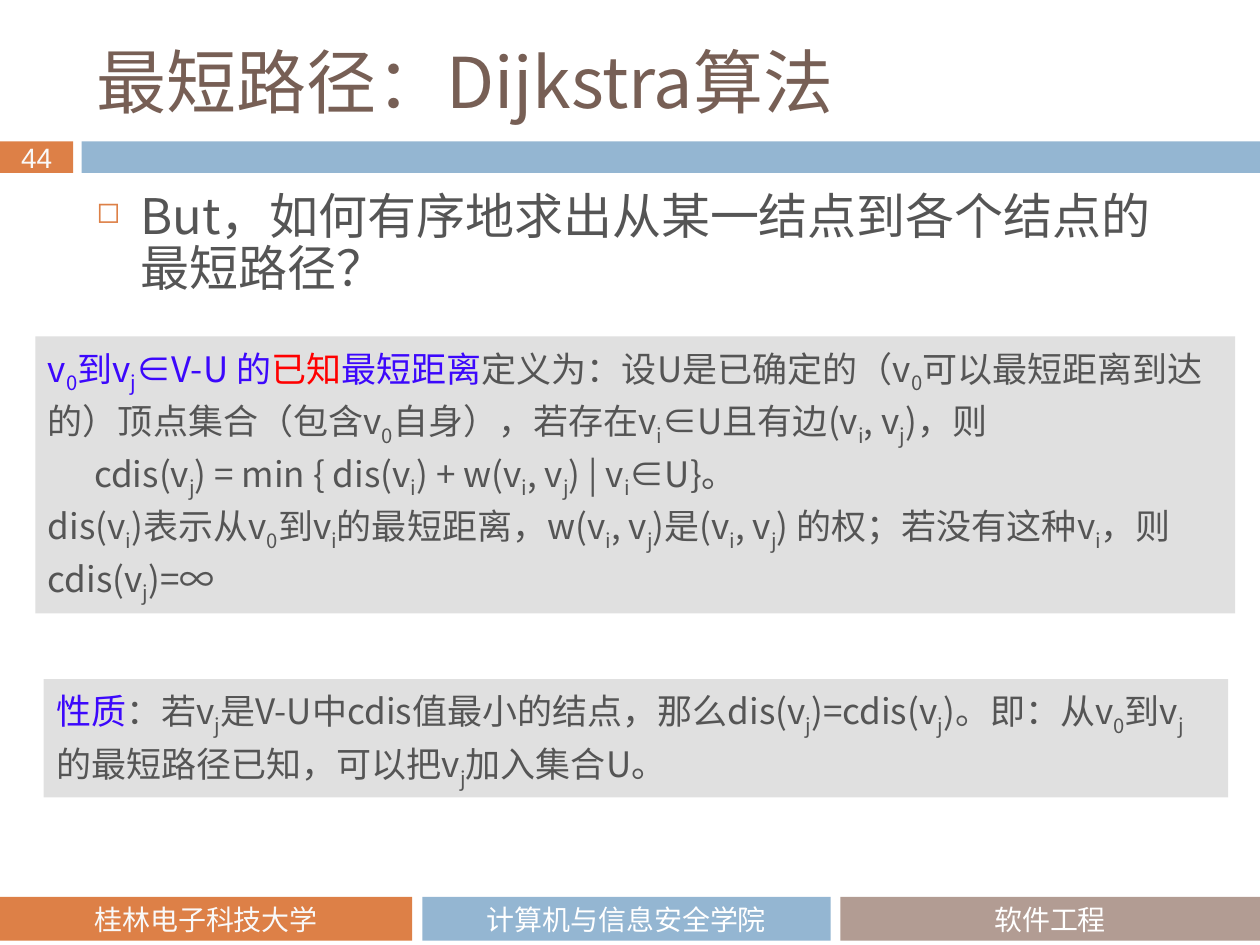
from lxml.etree import SubElement
from pptx import Presentation
from pptx.dml.color import RGBColor
from pptx.enum.shapes import MSO_SHAPE as SHAPE
from pptx.enum.text import MSO_ANCHOR as ANCHOR, PP_ALIGN as ALIGN
from pptx.oxml.ns import qn
from pptx.util import Pt

ORANGE, BLUE, TAUPE, GREY = "DD8047", "94B6D2", "B29C93", "E0E0E0"
BROWN, INK, VIOLET, RED = "775F55", "555555", "3C08FC", "FF0000"
WHITE, PALE = "FFFFFF", "F9F9F9"
SANS = "Noto Sans CJK SC"


def rgb(value):
    return RGBColor.from_string(value)


def add_run(p, text, size=20, color=INK, font=SANS, east=SANS, sub=False):
    r = p.add_run()
    r.text = text
    r.font.size = Pt(size)
    r.font.color.rgb = rgb(color)
    r.font.name = font
    SubElement(r.font._element, qn("a:ea"), typeface=east)
    if sub:
        r.font._element.set("baseline", "-25000")


def add_math(p, text, **fmt):
    first, *rest = text.split("_")
    add_run(p, first, **fmt)
    for part in rest:
        add_run(p, part[0], sub=True, **fmt)
        if part[1:]:
            add_run(p, part[1:], **fmt)


class Deck:
    leading = Pt(30)

    def __init__(self, width, height):
        self.prs = Presentation()
        self.prs.slide_width, self.prs.slide_height = Pt(width), Pt(height)
        self.s = self.prs.slides.add_slide(self.prs.slide_layouts[6])

    def rect(self, x, y, w, h, fill):
        sp = self.s.shapes.add_shape(SHAPE.RECTANGLE, Pt(x), Pt(y), Pt(w), Pt(h))
        sp.shadow.inherit = False
        sp.fill.solid()
        sp.fill.fore_color.rgb = rgb(fill)
        sp.line.fill.background()
        return sp

    def label(self, x, y, w, h, fill, text, **fmt):
        tf = self.rect(x, y, w, h, fill).text_frame
        tf.word_wrap = False
        tf.vertical_anchor = ANCHOR.MIDDLE
        p = tf.paragraphs[0]
        p.alignment = ALIGN.CENTER
        add_run(p, text, size=16, **fmt)

    def text(self, x, y, w, h, text, anchor=ANCHOR.TOP, **fmt):
        tf = self.s.shapes.add_textbox(Pt(x), Pt(y), Pt(w), Pt(h)).text_frame
        tf.word_wrap = True
        tf.vertical_anchor = anchor
        add_run(tf.paragraphs[0], text, **fmt)
        return tf.paragraphs[0]

    def bullet(self, x, y, w, h, text, **fmt):
        p = self.text(x, y, w, h, text, **fmt)
        p.line_spacing = self.leading
        pPr = p._p.get_or_add_pPr()
        pPr.set("marL", str(Pt(25.2)))
        pPr.set("indent", str(-Pt(25.2)))
        SubElement(SubElement(pPr, qn("a:buClr")), qn("a:srgbClr"), val=ORANGE)
        SubElement(pPr, qn("a:buSzPct"), val="60000")
        SubElement(pPr, qn("a:buChar"), char="◻")

    def panel(self, x, y, w, h, paragraphs):
        tf = self.rect(x, y, w, h, GREY).text_frame
        tf.word_wrap = True
        tf.vertical_anchor = ANCHOR.TOP
        for i, (indent, spans) in enumerate(paragraphs):
            p = tf.add_paragraph() if i else tf.paragraphs[0]
            p.alignment = ALIGN.LEFT
            p.line_spacing = self.leading
            if indent:
                p._p.get_or_add_pPr().set("marL", str(Pt(indent)))
            for text, color in spans:
                add_math(p, text, color=color)


DEFINITION = [
    (0, [("v_0到v_j∈V-U 的", VIOLET), ("已知", RED), ("最短距离", VIOLET),
         ("定义为：设U是已确定的（v_0可以最短距离到达的）顶点集合"
          "（包含v_0自身），若存在v_i∈U且有边(v_i, v_j)，则", INK)]),
    (26.5, [("cdis(v_j) = min { dis(v_i) + w(v_i, v_j) | v_i∈U}。", INK)]),
    (0, [("dis(v_i)表示从v_0到v_i的最短距离，w(v_i, v_j)是(v_i, v_j) 的权；"
          "若没有这种v_i，则cdis(v_j)=∞", INK)]),
]
PROPERTY = [
    (0, [("性质", VIOLET),
         ("：若v_j是V-U中cdis值最小的结点，那么dis(v_j)=cdis(v_j)。"
          "即：从v_0到v_j的最短路径已知，可以把v_j加入集合U。", INK)]),
]
FOOTER = [
    (0, 235.6, ORANGE, "桂林电子科技大学", PALE),
    (241.4, 233.2, BLUE, "计算机与信息安全学院", WHITE),
    (480.2, 239.8, TAUPE, "软件工程", WHITE),
]


def main():
    deck = Deck(720, 540)
    deck.label(0, 80.8, 41.8, 18, ORANGE, "44", color=PALE, font="Arial")
    deck.rect(46.6, 80.8, 673.4, 18, BLUE)
    for x, w, fill, text, color in FOOTER:
        deck.label(x, 512.6, w, 25, fill, text, color=color, font="Calibri")
    deck.text(48, 18, 642, 56, "最短路径：Dijkstra算法", anchor=ANCHOR.MIDDLE, size=40,
              color=BROWN, font="Noto Sans CJK JP", east="Noto Sans CJK JP")
    deck.bullet(48, 106, 642, 72, "But，如何有序地求出从某一结点到各个结点的最短路径？", size=28)
    deck.panel(20.3, 192.2, 685.6, 158.4, DEFINITION)
    deck.panel(25, 388, 676.8, 67.6, PROPERTY)
    deck.prs.save("out.pptx")


if __name__ == "__main__":
    main()
